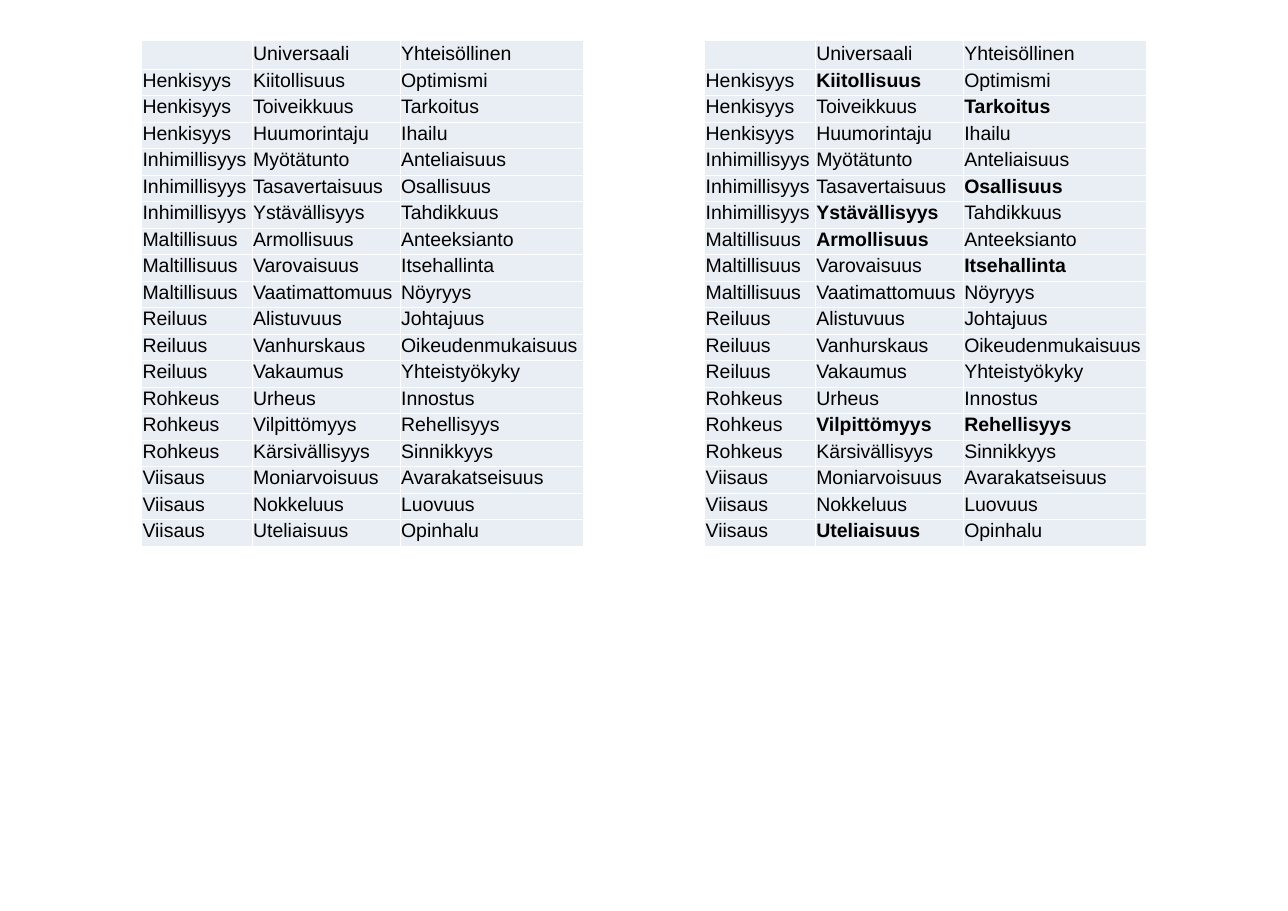
import dataclasses

import lxml.etree
import pptx
import pptx.dml.color
import pptx.enum.text
import pptx.oxml.ns
import pptx.util

Inches = pptx.util.Inches
Pt = pptx.util.Pt

WIDTHS = (1.42, 1.9, 2.35)
HEIGHT = 6.85
ROW = 0.21  # least height; the text makes rows taller
HEAD = ("", "Universaali", "Yhteisöllinen")
GROUPS = {
    "Henkisyys": (("Kiitollisuus", "Optimismi"),
                  ("Toiveikkuus", "Tarkoitus"),
                  ("Huumorintaju", "Ihailu")),
    "Inhimillisyys": (("Myötätunto", "Anteliaisuus"),
                      ("Tasavertaisuus", "Osallisuus"),
                      ("Ystävällisyys", "Tahdikkuus")),
    "Maltillisuus": (("Armollisuus", "Anteeksianto"),
                     ("Varovaisuus", "Itsehallinta"),
                     ("Vaatimattomuus", "Nöyryys")),
    "Reiluus": (("Alistuvuus", "Johtajuus"),
                ("Vanhurskaus", "Oikeudenmukaisuus"),
                ("Vakaumus", "Yhteistyökyky")),
    "Rohkeus": (("Urheus", "Innostus"),
                ("Vilpittömyys", "Rehellisyys"),
                ("Kärsivällisyys", "Sinnikkyys")),
    "Viisaus": (("Moniarvoisuus", "Avarakatseisuus"),
                ("Nokkeluus", "Luovuus"),
                ("Uteliaisuus", "Opinhalu")),
}
ROWS = [HEAD] + [(group, *pair) for group, pairs in GROUPS.items() for pair in pairs]


@dataclasses.dataclass(frozen=True)
class Grid:
    left: float
    top: float
    strong: frozenset = frozenset()


GRIDS = (
    Grid(1.82, 0.52),
    Grid(9.05, 0.52, frozenset((
        "Kiitollisuus", "Tarkoitus", "Osallisuus", "Ystävällisyys", "Armollisuus",
        "Itsehallinta", "Vilpittömyys", "Rehellisyys", "Uteliaisuus"))),
)


def color(code: str) -> pptx.dml.color.RGBColor:
    return pptx.dml.color.RGBColor.from_string(code)


def border(cell, code: str, width: float) -> None:
    """Line all four sides; the lines must come before the fill."""
    props = cell._tc.get_or_add_tcPr()
    qn = pptx.oxml.ns.qn
    for spot, side in enumerate(("lnL", "lnR", "lnT", "lnB")):
        line = lxml.etree.Element(qn(f"a:{side}"), w=str(Pt(width)))
        fill = lxml.etree.SubElement(line, qn("a:solidFill"))
        lxml.etree.SubElement(fill, qn("a:srgbClr"), val=code)
        props.insert(spot, line)


def fill_cell(cell, text: str, bold: bool) -> None:
    cell.fill.solid()
    cell.fill.fore_color.rgb = color("E9EDF4")
    border(cell, "FFFFFF", 1)
    cell.margin_left = cell.margin_right = cell.margin_top = Inches(0.01)
    cell.margin_bottom = Inches(0.05)
    cell.vertical_anchor = pptx.enum.text.MSO_ANCHOR.BOTTOM
    cell.text_frame.text = text
    for run in cell.text_frame.paragraphs[0].runs:
        run.font.name = "Arial"
        run.font.size = Pt(18)
        run.font.bold = bold
        run.font.color.rgb = color("000000")


def draw_grid(slide, grid: Grid) -> None:
    frame = slide.shapes.add_table(
        len(ROWS), len(WIDTHS), Inches(grid.left), Inches(grid.top),
        Inches(sum(WIDTHS)), Inches(HEIGHT))
    table = frame.table
    table.first_row = table.horz_banding = False
    for column, width in zip(table.columns, WIDTHS):
        column.width = Inches(width)
    for row, texts in zip(table.rows, ROWS):
        row.height = Inches(ROW)
        for cell, text in zip(row.cells, texts):
            fill_cell(cell, text, text in grid.strong)
    frame.height = Inches(HEIGHT)


def main() -> None:
    # Blank A3 landscape slide, 420 by 297 mm
    deck = pptx.Presentation()
    deck.slide_width = Inches(420 / 25.4)
    deck.slide_height = Inches(297 / 25.4)
    slide = deck.slides.add_slide(deck.slide_layouts[6])

    # Plain table, then the one with chosen strengths in bold
    for grid in GRIDS:
        draw_grid(slide, grid)
    deck.save("out.pptx")


if __name__ == "__main__":
    main()
